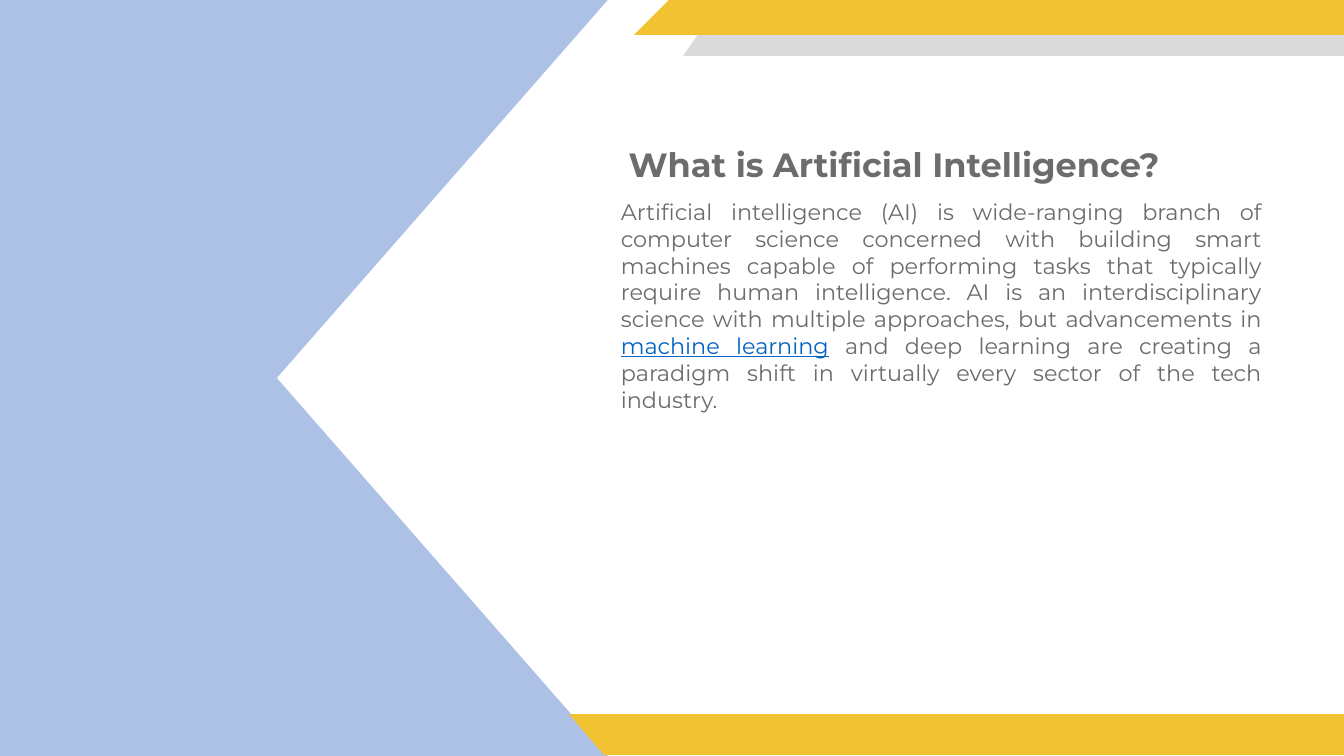
import dataclasses

import pptx
import pptx.dml.color
import pptx.enum.shapes
import pptx.enum.text
import pptx.oxml.ns
import pptx.util
from lxml import etree


@dataclasses.dataclass(frozen=True)
class Theme:
    """Colours, font and type sizes of the slide."""
    backdrop: str = "4472C4"
    backdrop_alpha: int = 44
    panel: str = "FFFFFF"
    accent: str = "F1C332"
    shade: str = "DADADA"
    ink: str = "6C6C6C"
    link: str = "0563C1"
    font: str = "Montserrat"
    title_size: int = 24
    body_size: int = 16


WIDTH, HEIGHT = 1344, 756
SCALE = 914400 / 100.8


def px(length):
    """Turn whole pixels into EMU."""
    return pptx.util.Emu(round(length * SCALE))


class SlideBuilder:
    """Draw styled elements on the current slide."""

    def __init__(self, page, theme):
        """Keep the slide and its style."""
        self.page = page
        self.theme = theme

    def paint(self, shape, color):
        """Give a shape a plain fill with no line or shadow."""
        shape.shadow.inherit = False
        shape.fill.solid()
        shape.fill.fore_color.rgb = pptx.dml.color.RGBColor.from_string(color)
        shape.line.fill.background()

    def backdrop(self):
        """Cover the slide with a translucent rectangle."""
        shape = self.page.shapes.add_shape(
            pptx.enum.shapes.MSO_SHAPE.RECTANGLE, 0, 0, px(WIDTH), px(HEIGHT))
        self.paint(shape, self.theme.backdrop)
        color = shape.element.spPr.find(".//" + pptx.oxml.ns.qn("a:srgbClr"))
        alpha = etree.SubElement(color, pptx.oxml.ns.qn("a:alpha"))
        alpha.set("val", str(self.theme.backdrop_alpha * 1000))

    def polygon(self, points, color):
        """Draw a filled closed outline."""
        outline = self.page.shapes.build_freeform(*points[0], scale=SCALE)
        outline.add_line_segments(points[1:], close=True)
        self.paint(outline.convert_to_shape(), color)

    def style(self, span, size, color, bold=False, underline=False):
        """Format one run."""
        span.font.name = self.theme.font
        span.font.size = pptx.util.Pt(size)
        span.font.color.rgb = pptx.dml.color.RGBColor.from_string(color)
        span.font.bold = bold
        span.font.underline = underline

    def frame(self, box, alignment):
        """Set wrapping, anchor and alignment of a text box."""
        frame = box.text_frame
        frame.word_wrap = True
        frame.auto_size = pptx.enum.text.MSO_AUTO_SIZE.NONE
        frame.vertical_anchor = pptx.enum.text.MSO_ANCHOR.TOP
        para = frame.paragraphs[0]
        para.alignment = alignment
        return para

    def title(self, left, top, width, height, text):
        """Place the title in front of the panels."""
        box = self.page.shapes.title
        box.left, box.top, box.width, box.height = map(px, (left, top, width, height))
        box.text_frame.text = text
        para = self.frame(box, pptx.enum.text.PP_ALIGN.CENTER)
        self.style(para.runs[0], self.theme.title_size, self.theme.ink, bold=True)
        self.page.shapes.element.append(box.element)

    def body(self, left, top, width, height, parts):
        """Write a justified paragraph from text and link-flag pairs."""
        box = self.page.shapes.add_textbox(*map(px, (left, top, width, height)))
        para = self.frame(box, pptx.enum.text.PP_ALIGN.JUSTIFY)
        for text, is_link in parts:
            span = para.add_run()
            span.text = text
            color = self.theme.link if is_link else self.theme.ink
            self.style(span, self.theme.body_size, color, underline=is_link)


def main():
    """Build and save the slide."""
    deck = pptx.Presentation()
    deck.slide_width, deck.slide_height = px(WIDTH), px(HEIGHT)
    page = deck.slides.add_slide(deck.slide_layouts.get_by_name("Title Only"))
    theme = Theme()
    builder = SlideBuilder(page, theme)

    builder.backdrop()
    builder.polygon([(608, 0), (WIDTH, 0), (WIDTH, HEIGHT), (608, HEIGHT),
                     (277, 378)], theme.panel)
    builder.polygon([(722, 0), (WIDTH, 0), (WIDTH, 56), (683, 56)], theme.shade)
    builder.polygon([(669, 0), (WIDTH, 0), (WIDTH, 35), (634, 35)], theme.accent)
    builder.polygon([(569, 714), (WIDTH, 714), (WIDTH, 755), (604, 755)], theme.accent)

    builder.title(529, 139, 730, 50, "What is Artificial Intelligence?")
    builder.body(611, 193, 661, 228, [
        ("Artificial intelligence (AI) is wide-ranging branch of computer science "
         "concerned with building smart machines capable of performing tasks "
         "that typically require human intelligence. AI is an interdisciplinary "
         "science with multiple approaches, but advancements in ", False),
        ("machine learning", True),
        (" and deep learning are creating a paradigm shift in virtually every "
         "sector of the tech industry.", False),
    ])
    deck.save("out.pptx")


if __name__ == "__main__":
    main()
